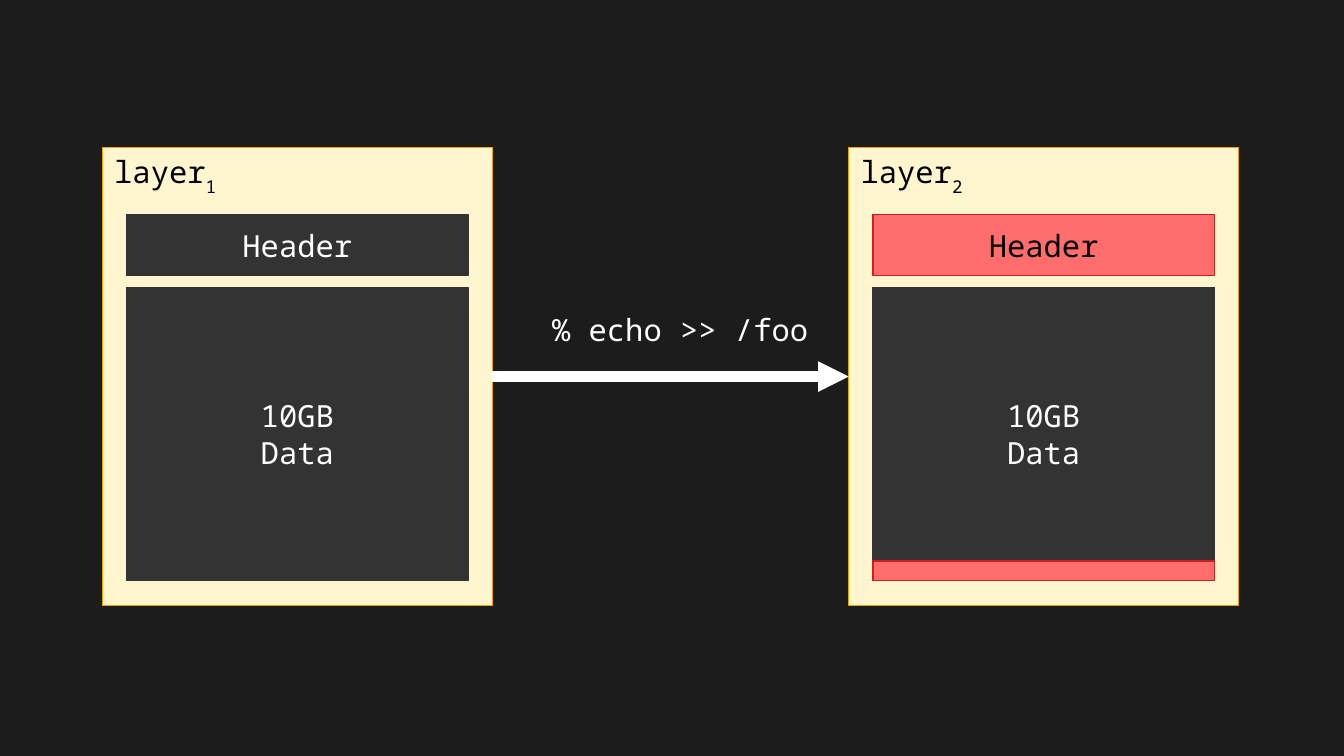
from lxml.etree import SubElement
from pptx import Presentation
from pptx.dml.color import RGBColor
from pptx.enum.shapes import MSO_CONNECTOR, MSO_SHAPE
from pptx.enum.text import MSO_ANCHOR, PP_ALIGN
from pptx.oxml.ns import qn
from pptx.util import Cm, Pt

BACKGROUND = RGBColor(0x1C, 0x1C, 0x1C)
CREAM = RGBColor(0xFF, 0xF5, 0xCE)
AMBER = RGBColor(0xE8, 0xA2, 0x02)
GREY = RGBColor(0x33, 0x33, 0x33)
CORAL = RGBColor(0xFF, 0x6D, 0x6D)
RED = RGBColor(0xC9, 0x21, 0x1E)
BLACK = RGBColor(0x00, 0x00, 0x00)
WHITE = RGBColor(0xFF, 0xFF, 0xFF)

FONT = "Noto Sans Mono"
LAYER_TOP, LAYER_WIDTH, LAYER_HEIGHT = Cm(3.07), Cm(8.13), Cm(9.55)
LAYER_LEFTS = Cm(2.13), Cm(17.68)
PADDING = Cm(0.51)
HEADER_OFFSET, HEADER_HEIGHT = Cm(1.4), Cm(1.27)
DATA_OFFSET, DATA_HEIGHT = Cm(2.92), Cm(6.1)
CHANGE_HEIGHT = Cm(0.4)


def format_text(text_frame, color, alignment):
    for paragraph in text_frame.paragraphs:
        paragraph.alignment = alignment
        for run in paragraph.runs:
            run.font.name = FONT
            run.font.size = Pt(18)
            run.font.color.rgb = color


def add_box(slide, left, top, width, height, fill, line, text="", color=WHITE,
            alignment=PP_ALIGN.CENTER, anchor=MSO_ANCHOR.MIDDLE):
    shape = slide.shapes.add_shape(MSO_SHAPE.RECTANGLE, left, top, width, height)
    shape.shadow.inherit = False
    shape.fill.solid()
    shape.fill.fore_color.rgb = fill
    shape.line.color.rgb = line
    shape.line.width = Pt(0)
    if text:
        shape.text_frame.text = text
        shape.text_frame.vertical_anchor = anchor
        format_text(shape.text_frame, color, alignment)
    return shape


def add_layer(slide, left, top, width, height, number, changed):
    layer = add_box(slide, left, top, width, height, CREAM, AMBER, "layer", BLACK,
                    PP_ALIGN.LEFT, MSO_ANCHOR.TOP)
    subscript = layer.text_frame.paragraphs[0].add_run()
    subscript.text = str(number)
    format_text(layer.text_frame, BLACK, PP_ALIGN.LEFT)
    subscript._r.get_or_add_rPr().set("baseline", "-33000")

    inner_left, inner_width = left + PADDING, width - 2 * PADDING
    header_colors = (CORAL, RED) if changed else (GREY, GREY)
    add_box(slide, inner_left, top + HEADER_OFFSET, inner_width, HEADER_HEIGHT,
            *header_colors, "Header", BLACK if changed else WHITE)
    data_top = top + DATA_OFFSET
    add_box(slide, inner_left, data_top, inner_width, DATA_HEIGHT, GREY, GREY, "10GB\nData")
    if changed:
        add_box(slide, inner_left, data_top + DATA_HEIGHT - CHANGE_HEIGHT,
                inner_width, CHANGE_HEIGHT, CORAL, RED)
    return layer


def add_command(slide, left, top, width, height, source, target):
    arrow = slide.shapes.add_connector(MSO_CONNECTOR.STRAIGHT, 0, 0, 0, 0)
    arrow.begin_connect(source, 3)
    arrow.end_connect(target, 1)
    arrow.line.color.rgb = WHITE
    arrow.line.width = Pt(6)
    SubElement(arrow.line._get_or_add_ln(), qn("a:tailEnd"), type="triangle")
    SubElement(arrow._element.spPr, qn("a:effectLst"))

    label = slide.shapes.add_textbox(left, top, width, height)
    label.text_frame.word_wrap = True
    label.text_frame.text = "% echo >> /foo"
    format_text(label.text_frame, WHITE, PP_ALIGN.CENTER)


def main():
    presentation = Presentation()
    presentation.slide_width = Cm(28)
    presentation.slide_height = Cm(15.75)
    slide = presentation.slides.add_slide(presentation.slide_layouts[6])
    slide.background.fill.solid()
    slide.background.fill.fore_color.rgb = BACKGROUND

    before, after = [
        add_layer(slide, left, LAYER_TOP, LAYER_WIDTH, LAYER_HEIGHT, number, number == 2)
        for number, left in enumerate(LAYER_LEFTS, start=1)
    ]
    add_command(slide, Cm(10.87), Cm(6.35), Cm(6.6), Cm(1.02), before, after)
    presentation.save("out.pptx")


if __name__ == "__main__":
    main()
